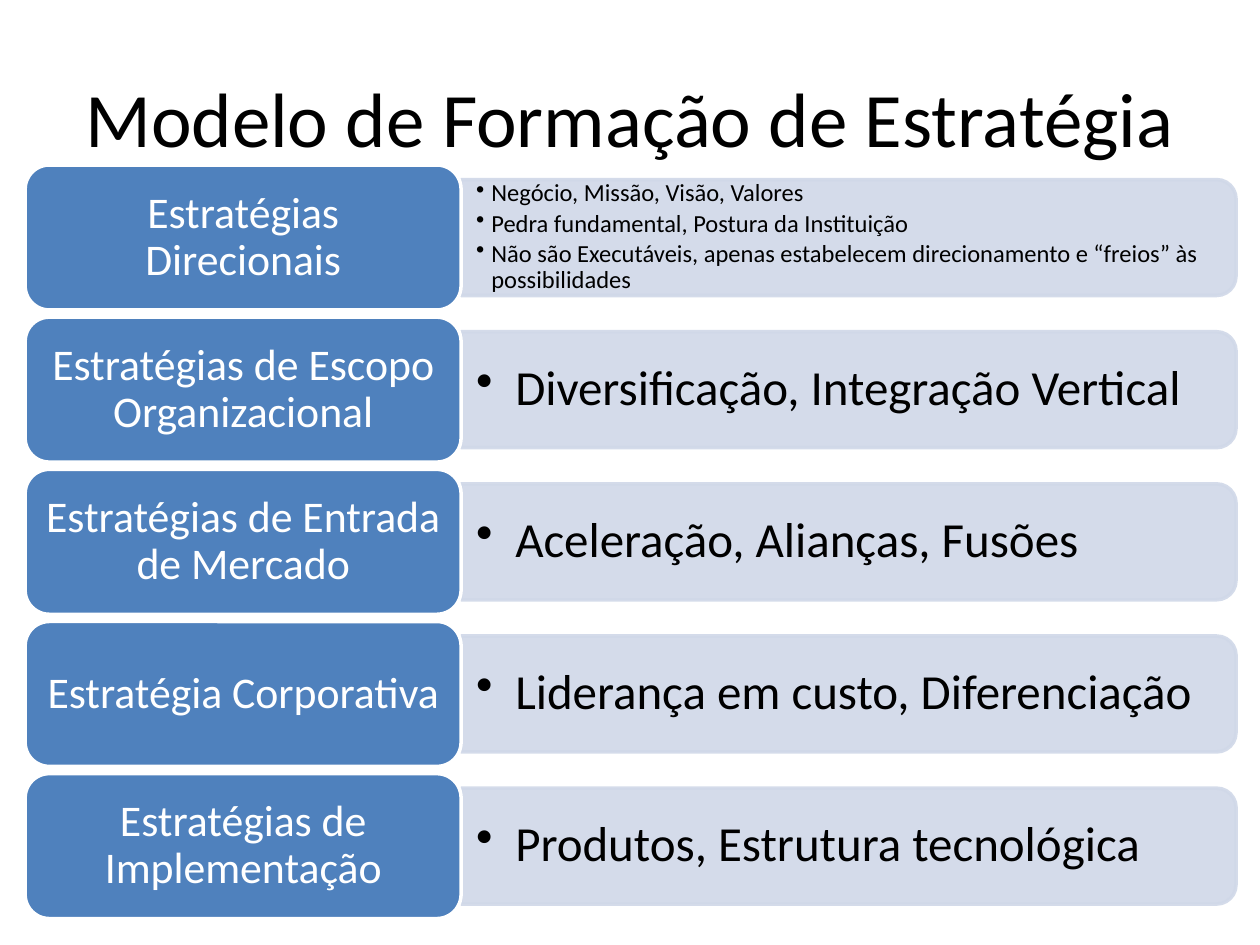
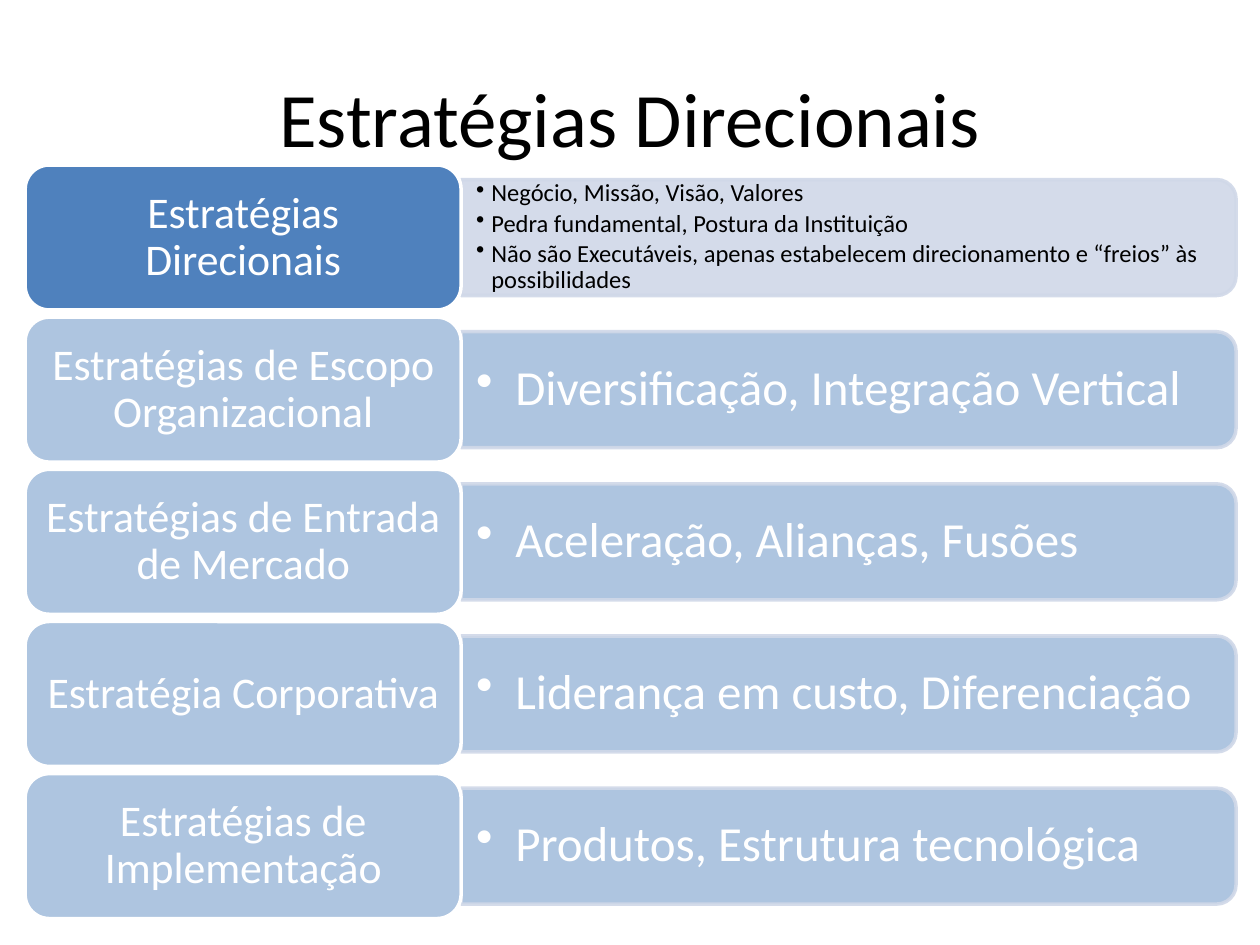
import pptx
import pptx.util
import pptx.dml.color
import pptx.enum.shapes
import pptx.enum.text
import pptx.oxml
import pptx.oxml.ns
from dataclasses import dataclass
from lxml import etree

Inches = pptx.util.Inches
Pt = pptx.util.Pt
Kind = pptx.enum.shapes.MSO_SHAPE
Align = pptx.enum.text.PP_ALIGN

STRATEGIES = [
    ("Estratégias Direcionais", [
        "Negócio, Missão, Visão, Valores",
        "Pedra fundamental, Postura da Instituição",
        "Não são Executáveis, apenas estabelecem direcionamento e “freios” às possibilidades",
    ]),
    ("Estratégias de Escopo Organizacional", ["Diversificação, Integração Vertical"]),
    ("Estratégias de Entrada de Mercado", ["Aceleração, Alianças, Fusões"]),
    ("Estratégia Corporativa", ["Liderança em custo, Diferenciação"]),
    ("Estratégias de Implementação", ["Produtos, Estrutura tecnológica"]),
]

PAGES = [
    {"title": "Modelo de Formação de Estratégia", "active": range(len(STRATEGIES))},
    {"title": "Estratégias Direcionais", "active": [0]},
]


@dataclass(frozen=True)
class Theme:
    font: str = "Calibri"
    accent: str = "4F81BD"
    pale: str = "D0D8E8"
    white: str = "FFFFFF"
    black: str = "000000"
    title_size: int = 44
    label_size: int = 25
    single_size: int = 28
    list_size: int = 14
    line_width: int = 2
    pale_opacity: int = 90
    muted_opacity: int = 46


THEME = Theme()

TITLE_AREA = (0.5, 0.3, 9, 1.25)
FIRST_TOP = 1.31
ROW_HEIGHT = 1.15
ROW_PITCH = ROW_HEIGHT * 1.05
BAR_HEIGHT = ROW_HEIGHT * 0.8
BAR_WIDTH = 6.15
LABEL_LEFT = 0.2
LABEL_WIDTH = 3.46
LABEL_INSET = 0.055
BAR_LEFT = LABEL_LEFT + LABEL_WIDTH
BULLET_WIDTH = 6.1
BULLET_HEIGHT = 0.83


def rgb(value):
    return pptx.dml.color.RGBColor.from_string(value)


def add_bullet(para, indent):
    properties = para._p.get_or_add_pPr()
    properties.set("marL", str(Inches(indent)))
    properties.set("indent", str(-Inches(indent)))
    bullet = etree.SubElement(properties, pptx.oxml.ns.qn("a:buChar"))
    bullet.set("char", "•")


def add_text(page, lines, area, size, color, align=Align.LEFT, margins=(0.1, 0.05),
             spacing=None, after=0, indent=None):
    box = page.shapes.add_textbox(*map(Inches, area))
    frame = box.text_frame
    frame.word_wrap = True
    frame.vertical_anchor = pptx.enum.text.MSO_ANCHOR.MIDDLE
    frame.margin_left = frame.margin_right = Inches(margins[0])
    frame.margin_top = frame.margin_bottom = Inches(margins[1])
    for number, line in enumerate(lines):
        para = frame.add_paragraph() if number else frame.paragraphs[0]
        para.alignment = align
        if spacing:
            para.line_spacing = spacing
            para.space_after = Pt(size * after)
        if indent:
            para.level = 1
            add_bullet(para, indent)
        span = para.add_run()
        span.text = line
        span.font.name = THEME.font
        span.font.size = Pt(size)
        span.font.color.rgb = rgb(color)


def add_panel(page, kind, area, fill, line, fill_opacity=100, line_opacity=100, rotation=0):
    shape = page.shapes.add_shape(kind, *map(Inches, area))
    shape.shadow.inherit = False
    shape.rotation = rotation
    shape.fill.solid()
    shape.fill.fore_color.rgb = rgb(fill)
    shape.line.color.rgb = rgb(line)
    shape.line.width = Pt(THEME.line_width)
    colors = list(shape._element.spPr.iter(pptx.oxml.ns.qn("a:srgbClr")))
    for color, opacity in zip(colors, (fill_opacity, line_opacity)):
        if opacity < 100:
            alpha = etree.SubElement(color, pptx.oxml.ns.qn("a:alpha"))
            alpha.set("val", str(opacity * 1000))


def add_strategy(page, row, label, bullets, active):
    top = FIRST_TOP + row * ROW_PITCH
    middle = top + ROW_HEIGHT / 2
    center = BAR_LEFT + BAR_WIDTH / 2

    add_panel(page, Kind.ROUND_2_SAME_RECTANGLE,
              (center - BAR_HEIGHT / 2, middle - BAR_WIDTH / 2, BAR_HEIGHT, BAR_WIDTH),
              THEME.pale if active else THEME.accent, THEME.pale, rotation=90,
              fill_opacity=THEME.pale_opacity if active else THEME.muted_opacity,
              line_opacity=THEME.pale_opacity)
    single = len(bullets) == 1
    add_text(page, bullets,
             (BAR_LEFT, middle - BULLET_HEIGHT / 2, BULLET_WIDTH, BULLET_HEIGHT),
             THEME.single_size if single else THEME.list_size,
             THEME.black if active else THEME.white,
             margins=(0.12, 0.06), spacing=0.9, after=0.15, indent=0.31 if single else 0.12)

    add_panel(page, Kind.ROUNDED_RECTANGLE, (LABEL_LEFT, top, LABEL_WIDTH, ROW_HEIGHT),
              THEME.accent, THEME.white,
              fill_opacity=100 if active else THEME.muted_opacity)
    add_text(page, [label],
             (LABEL_LEFT + LABEL_INSET, top + LABEL_INSET,
              LABEL_WIDTH - 2 * LABEL_INSET, ROW_HEIGHT - 2 * LABEL_INSET),
             THEME.label_size, THEME.white, align=Align.CENTER, spacing=0.9, after=0.35)


def main():
    deck = pptx.Presentation()
    deck.slide_width = Inches(10)
    deck.slide_height = Inches(7.5)
    for content in PAGES:
        page = deck.slides.add_slide(deck.slide_layouts[6])
        add_text(page, [content["title"]], TITLE_AREA, THEME.title_size, THEME.black,
                 align=Align.CENTER)
        for row, (label, bullets) in enumerate(STRATEGIES):
            add_strategy(page, row, label, bullets, row in content["active"])
    deck.save("out.pptx")


if __name__ == "__main__":
    main()
